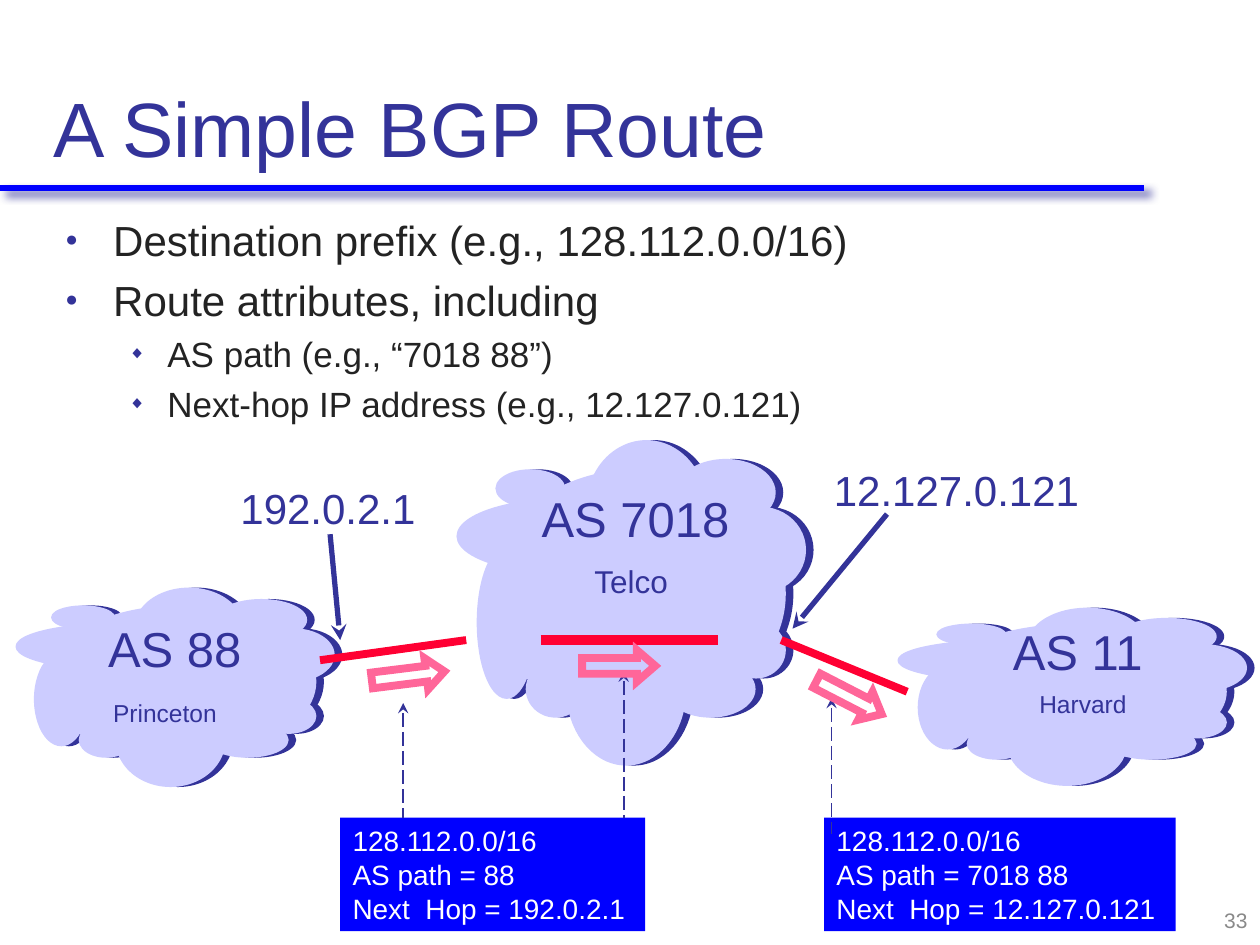
from lxml import etree
from pptx import Presentation
from pptx import util as u
from pptx.dml import color
from pptx.enum import dml, shapes, text
from pptx.oxml import ns

NAVY, LILAC, BLUE, RED, PINK = "333399", "CCCCFF", "0000FF", "FF0033", "FF6699"
INK, GRAY, WHITE = "232323", "898989", "FFFFFF"

CLOUD_LOBES = [
    (8.7, 9, 85.5, 76.3),
    (11.2, 9, 19.6, 11.3),
    (63, 5.8, 28.3, 20.2),
    (37.3, 0, 34.1, 40.9),
    (0, 17.9, 62.7, 23),
    (31.5, 53.3, 34.1, 46.7),
    (74.6, 20.6, 25.4, 26.1),
    (5.8, 32.7, 16.7, 46.7),
    (77.5, 56, 16.7, 17.1),
    (19.9, 68.1, 16.7, 17.1),
    (60.1, 68.1, 25.4, 17.1),
]


def rgb(value):
    return color.RGBColor.from_string(value)


def inches(values):
    return [u.Inches(value) for value in values]


def add_xml(parent, tag, **attributes):
    return etree.SubElement(parent, ns.qn(tag), attributes)


def apply(target, values):
    for name, value in values.items():
        setattr(target, name, value)


def style_shape(shape, fill, line, width=1):
    shape.shadow.inherit = False
    if fill:
        shape.fill.solid()
        shape.fill.fore_color.rgb = rgb(fill)
    else:
        shape.fill.background()
    if line:
        shape.line.color.rgb = rgb(line)
        shape.line.width = u.Pt(width)
    else:
        shape.line.fill.background()


def write(shape, lines, size, hue, wrap=False, **frame_format):
    frame = shape.text_frame
    apply(frame, {"word_wrap": wrap, "vertical_anchor": text.MSO_ANCHOR.TOP, **frame_format})
    frame.text = "\n".join(lines)
    for paragraph in frame.paragraphs:
        paragraph.alignment = text.PP_ALIGN.LEFT
        apply(paragraph.font, {"name": "Arial", "size": u.Pt(size)})
        paragraph.font.color.rgb = rgb(hue)
    return frame


def add_text(slide, at, content, size, hue=NAVY, **frame_format):
    return write(slide.shapes.add_textbox(*inches(at)), [content], size, hue, **frame_format)


def add_label(slide, at, content, size):
    add_text(slide, at, content, size, auto_size=text.MSO_AUTO_SIZE.SHAPE_TO_FIT_TEXT)


def add_bullets(slide, at, items):
    frame = add_text(slide, at, "\n".join(content for _, content in items), 24, INK, wrap=True)
    styles = [(0.38, -0.38, "●", 24, 5.5), (0.81, -0.31, "◆", 20, 4.6)]
    for index, (paragraph, (level, _)) in enumerate(zip(frame.paragraphs, items)):
        margin, indent, mark, size, space = styles[level]
        if index:
            paragraph.space_before = u.Pt(space)
        paragraph.level = level
        properties = paragraph._p.get_or_add_pPr()
        properties.set("marL", str(u.Inches(margin)))
        properties.set("indent", str(u.Inches(indent)))
        for default in properties.findall(ns.qn("a:defRPr")):
            properties.remove(default)
        add_xml(add_xml(properties, "a:buClr"), "a:srgbClr", val=NAVY)
        add_xml(properties, "a:buSzPct", val="50000")
        add_xml(properties, "a:buFont", typeface="Arial")
        add_xml(properties, "a:buChar", char=mark)
        apply(paragraph.font, {"name": "Arial", "size": u.Pt(size)})
        paragraph.font.color.rgb = rgb(INK)


def add_line(slide, start, end, hue, width, arrow=None, dashed=False):
    line = slide.shapes.add_connector(shapes.MSO_CONNECTOR.STRAIGHT, *inches(start + end))
    line.line.color.rgb = rgb(hue)
    line.line.width = u.Pt(width)
    if dashed:
        line.line.dash_style = dml.MSO_LINE.LONG_DASH
    if arrow:
        add_xml(line.line._get_or_add_ln(), arrow, type="stealth")
    return add_xml(line._element.spPr, "a:effectLst")


def add_title_rule(slide):
    effects = add_line(slide, (0, 1.49), (9.08, 1.49), BLUE, 3.5)
    shadow = add_xml(effects, "a:outerShdw", blurRad=str(u.Pt(5)), dist=str(u.Pt(4.2)),
                     dir="2700000", algn="ctr", rotWithShape="0")
    add_xml(add_xml(shadow, "a:srgbClr", val=NAVY), "a:alpha", val="75000")


def add_cloud(slide, left, top, width, height):
    for offset, hue in ((0.06, NAVY), (0, LILAC)):
        group = slide.shapes.add_group_shape()
        for x, y, w, h in CLOUD_LOBES:
            at = (left + offset + x * width / 100, top + y * height / 100,
                  w * width / 100, h * height / 100)
            lobe = group.shapes.add_shape(shapes.MSO_SHAPE.OVAL, *inches(at))
            style_shape(lobe, hue, hue)


def add_route_box(slide, left, width, lines):
    box = slide.shapes.add_shape(shapes.MSO_SHAPE.RECTANGLE, *inches((left, 6.49, width, 0.9)))
    style_shape(box, BLUE, None)
    write(box, lines, 16, WHITE)


def add_block_arrow(slide, left, top, rotation):
    arrow = slide.shapes.add_shape(shapes.MSO_SHAPE.RIGHT_ARROW, *inches((left, top, 0.58, 0.25)))
    style_shape(arrow, None, PINK, 4.5)
    add_xml(arrow.line._get_or_add_ln(), "a:miter", lim="800000")
    arrow.adjustments[1] = 0.58
    arrow.rotation = rotation


def main():
    presentation = Presentation()
    apply(presentation, {"slide_width": u.Inches(10), "slide_height": u.Inches(7.5)})
    slide = presentation.slides.add_slide(presentation.slide_layouts[6])

    add_title_rule(slide)
    add_text(slide, (0.33, 0.17, 9.33, 1.25), "A Simple BGP Route", 44, wrap=True,
             vertical_anchor=text.MSO_ANCHOR.BOTTOM)
    add_bullets(slide, (0.42, 1.65, 9.25, 2.6), [
        (0, "Destination prefix (e.g., 128.112.0.0/16)"),
        (0, "Route attributes, including"),
        (1, "AS path (e.g., “7018 88”)"),
        (1, "Next-hop IP address (e.g., 12.127.0.121)"),
    ])
    number = add_text(slide, (7.67, 7.1, 2.33, 0.4), "33", 12, GRAY, wrap=True,
                      vertical_anchor=text.MSO_ANCHOR.MIDDLE)
    number.paragraphs[0].alignment = text.PP_ALIGN.RIGHT

    add_cloud(slide, 0.13, 4.67, 2.52, 1.57)
    add_cloud(slide, 3.63, 3.5, 2.76, 2.57)
    add_line(slide, (6.2, 5.08), (7.2, 5.49), RED, 4.5)
    add_line(slide, (2.54, 5.24), (3.7, 5.08), RED, 4.5)
    add_cloud(slide, 7.13, 4.83, 2.76, 1.4)
    add_line(slide, (4.29, 5.08), (5.7, 5.08), RED, 6)

    for at, content, size in [
        ((0.76, 4.86, 1.28, 0.57), "AS 88", 28),
        ((0.8, 5.49, 1.03, 0.34), "Princeton", 14),
        ((4.2, 3.83, 1.72, 0.57), "AS 7018", 28),
        ((4.62, 4.41, 0.86, 0.4), "Telco", 18),
        ((7.94, 4.88, 1.28, 0.57), "AS 11", 28),
        ((8.15, 5.42, 0.9, 0.34), "Harvard", 14),
        ((1.81, 3.78, 1.61, 0.51), "192.0.2.1", 24),
        ((6.52, 3.64, 2.17, 0.51), "12.127.0.121", 24),
    ]:
        add_label(slide, at, content, size)

    add_route_box(slide, 2.7, 2.42, ["128.112.0.0/16", "AS path = 88", "Next  Hop = 192.0.2.1"])
    add_route_box(slide, 6.54, 2.79,
                  ["128.112.0.0/16", "AS path = 7018 88", "Next  Hop = 12.127.0.121"])

    for start, end in [((2.62, 4.24), (2.7, 5.08)), ((7.04, 4.08), (6.29, 4.99))]:
        add_line(slide, start, end, NAVY, 3, "a:tailEnd")
    for x, top, bottom in [(3.2, 5.58, 6.49), (6.6, 5.54, 6.62), (4.95, 5.33, 6.49)]:
        add_line(slide, (x, top), (x, bottom), NAVY, 1, "a:headEnd", dashed=True)
    for left, top, rotation in [(2.95, 5.24, 352.9), (4.62, 5.16, 0), (6.45, 5.41, 27.3)]:
        add_block_arrow(slide, left, top, rotation)

    presentation.save("out.pptx")


if __name__ == "__main__":
    main()
